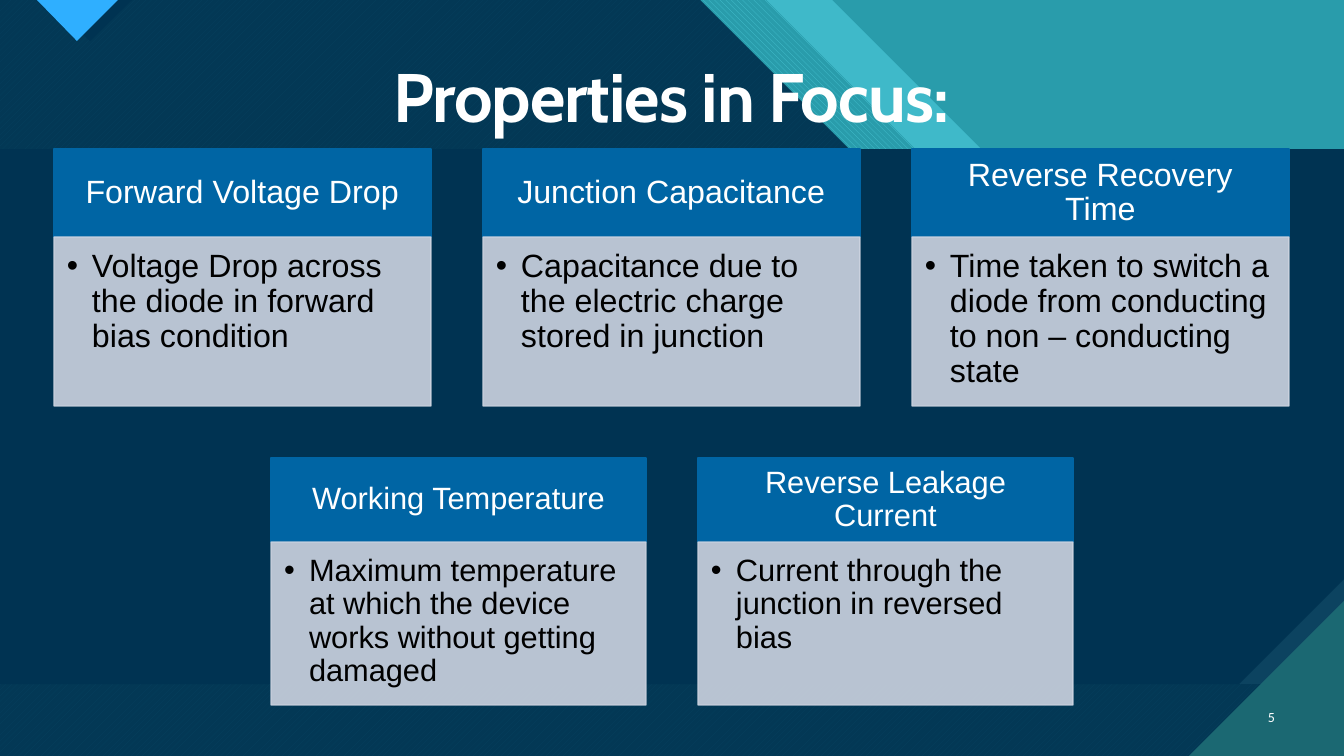
from pptx import Presentation
from pptx.dml.color import RGBColor
from pptx.enum.dml import MSO_PATTERN
from pptx.enum.shapes import MSO_SHAPE
from pptx.enum.text import MSO_ANCHOR, PP_ALIGN
from pptx.oxml.ns import qn
from pptx.util import Pt
from lxml.etree import SubElement

WHITE = RGBColor(0xFF, 0xFF, 0xFF)
BLACK = RGBColor(0x00, 0x00, 0x00)
NAVY = RGBColor(0x00, 0x33, 0x52)
NAVY_STRIPE = RGBColor(0x07, 0x41, 0x5F)
NAVY_BASE = RGBColor(0x03, 0x38, 0x55)
SLATE = RGBColor(0x0C, 0x43, 0x60)
TEAL = RGBColor(0x29, 0x9C, 0xAB)
AQUA = RGBColor(0x3F, 0xB9, 0xC9)
AQUA_STRIPE = RGBColor(0x47, 0xC3, 0xD3)
PINE = RGBColor(0x1B, 0x68, 0x72)
SKY = RGBColor(0x2F, 0xAF, 0xFF)
HEADING_BLUE = RGBColor(0x00, 0x65, 0xA4)
BODY_GREY = RGBColor(0xCC, 0xD3, 0xE0)

WIDTH, HEIGHT = 1344, 756
PX = 12192000 / WIDTH


class PropertySlide:
    """Holds the style and the slide being built; lengths are in px."""

    body_font = "Arial"

    def __init__(self, deck):
        self.slide = deck.slides.add_slide(deck.slide_layouts[5])
        self.shapes = self.slide.shapes

    def emu(self, *lengths):
        return [round(length * PX) for length in lengths]

    def polygon(self, points, color, pattern=None, back=None):
        builder = self.shapes.build_freeform(*points[0], scale=PX)
        builder.add_line_segments(points[1:], close=True)
        outline = builder.convert_to_shape()
        outline.shadow.inherit = False
        outline.line.fill.background()
        if pattern is None:
            outline.fill.solid()
        else:
            outline.fill.patterned()
            outline.fill.pattern = pattern
            outline.fill.back_color.rgb = back
        outline.fill.fore_color.rgb = color

    def panel(self, box, color, insets, anchor, opacity=100):
        panel = self.shapes.add_shape(MSO_SHAPE.RECTANGLE, *self.emu(*box))
        panel.shadow.inherit = False
        panel.fill.solid()
        panel.fill.fore_color.rgb = color
        panel.line.color.rgb = color
        panel.line.width = Pt(1)
        if opacity < 100:
            for tint in panel._element.spPr.iter(qn("a:srgbClr")):
                SubElement(tint, qn("a:alpha"), val=str(opacity * 1000))
        return self.frame(panel, anchor, insets)

    def frame(self, holder, anchor, insets=(10, 5, 10, 5)):
        frame = holder.text_frame
        frame.word_wrap = True
        frame.vertical_anchor = anchor
        (frame.margin_left, frame.margin_top,
         frame.margin_right, frame.margin_bottom) = self.emu(*insets)
        return frame

    def add_text(self, frame, text, size, color, align, font=body_font,
                 spacing=0.9, bullet=False):
        paragraph = frame.paragraphs[0]
        paragraph.alignment = align
        paragraph.line_spacing = spacing
        if bullet:
            indent, = self.emu(25)
            properties = paragraph._p.get_or_add_pPr()
            properties.set("marL", str(indent))
            properties.set("indent", str(-indent))
            SubElement(properties, qn("a:buFont"), typeface=font)
            SubElement(properties, qn("a:buChar"), char="•")
        run = paragraph.add_run()
        run.text = text
        run.font.size = Pt(size)
        run.font.name = font
        run.font.color.rgb = color
        return run

    def title(self, box, text):
        title = self.shapes.title
        # Bring the title in front of the backdrop
        title._element.getparent().append(title._element)
        title.left, title.top, title.width, title.height = self.emu(*box)
        frame = self.frame(title, MSO_ANCHOR.MIDDLE)
        run = self.add_text(frame, text, 49, WHITE, PP_ALIGN.CENTER, "Cabin")
        run.font.bold = True
        run._r.get_or_add_rPr().set("spc", "-70")

    def page_number(self, box, text):
        number = self.shapes.add_textbox(*self.emu(*box))
        frame = self.frame(number, MSO_ANCHOR.MIDDLE)
        self.add_text(frame, text, 10, WHITE, PP_ALIGN.RIGHT, "Calibri", 1.0)

    def card(self, left, top, width, heading_height, body_height, size,
             heading, detail):
        frame = self.panel((left, top, width, heading_height), HEADING_BLUE,
                           (18, 10, 18, 10), MSO_ANCHOR.MIDDLE)
        self.add_text(frame, heading, size, WHITE, PP_ALIGN.CENTER)
        frame = self.panel((left, top + heading_height, width, body_height),
                           BODY_GREY, (13, 13, 18, 20), MSO_ANCHOR.TOP, 90)
        self.add_text(frame, detail, size, BLACK, PP_ALIGN.LEFT, bullet=True)

    def card_row(self, left, pitch, cards, **layout):
        for column, (heading, detail) in enumerate(cards):
            self.card(left + column * pitch, heading=heading, detail=detail,
                      **layout)

    def backdrop(self):
        self.slide.background.fill.solid()
        self.slide.background.fill.fore_color.rgb = TEAL
        # Diagonal bands of the header
        bands = [(832, AQUA, None, None),
                 (766, AQUA_STRIPE, MSO_PATTERN.WIDE_DOWNWARD_DIAGONAL, TEAL),
                 (700, NAVY_STRIPE, MSO_PATTERN.WIDE_UPWARD_DIAGONAL,
                  NAVY_BASE)]
        for edge, color, pattern, back in bands:
            self.polygon([(0, 0), (edge, 0), (edge + 300, 300), (WIDTH, 300),
                          (WIDTH, HEIGHT), (0, HEIGHT)], color, pattern, back)
        # Pointer at the top left, over its shade
        for left, right, color in [(48, 132, NAVY), (37, 118, SKY)]:
            self.polygon([(left, 0), (right, 0), ((left + right) // 2, 41)],
                         color)
        # Middle field with a cut corner
        self.polygon([(0, 149), (WIDTH, 149), (WIDTH, 684), (0, 684)], SLATE)
        self.polygon([(0, 149), (WIDTH, 149), (WIDTH, 579), (1239, 684),
                      (0, 684)], NAVY)
        # Corner behind the page number
        self.polygon([(1189, HEIGHT), (WIDTH, HEIGHT), (WIDTH, 601)], PINE)


def main():
    deck = Presentation()
    deck.slide_width = round(WIDTH * PX)
    deck.slide_height = round(HEIGHT * PX)

    properties = PropertySlide(deck)
    properties.backdrop()
    properties.title((53, 58, 1236, 85), "Properties in Focus:")
    properties.page_number((1241, 697, 44, 40), "5")

    # Upper row
    properties.card_row(54, 429, [
        ("Forward Voltage Drop",
         "Voltage Drop across the diode in forward bias condition"),
        ("Junction Capacitance",
         "Capacitance due to the electric charge stored in junction"),
        ("Reverse Recovery Time",
         "Time taken to switch a diode from conducting to non – conducting "
         "state"),
    ], top=149, width=377, heading_height=88, body_height=169, size=23)

    # Lower row
    properties.card_row(271, 427, [
        ("Working Temperature",
         "Maximum temperature at which the device works without getting "
         "damaged"),
        ("Reverse Leakage Current",
         "Current through the junction in reversed bias"),
    ], top=458, width=375, heading_height=84, body_height=163, size=22)

    deck.save("out.pptx")


if __name__ == "__main__":
    main()
